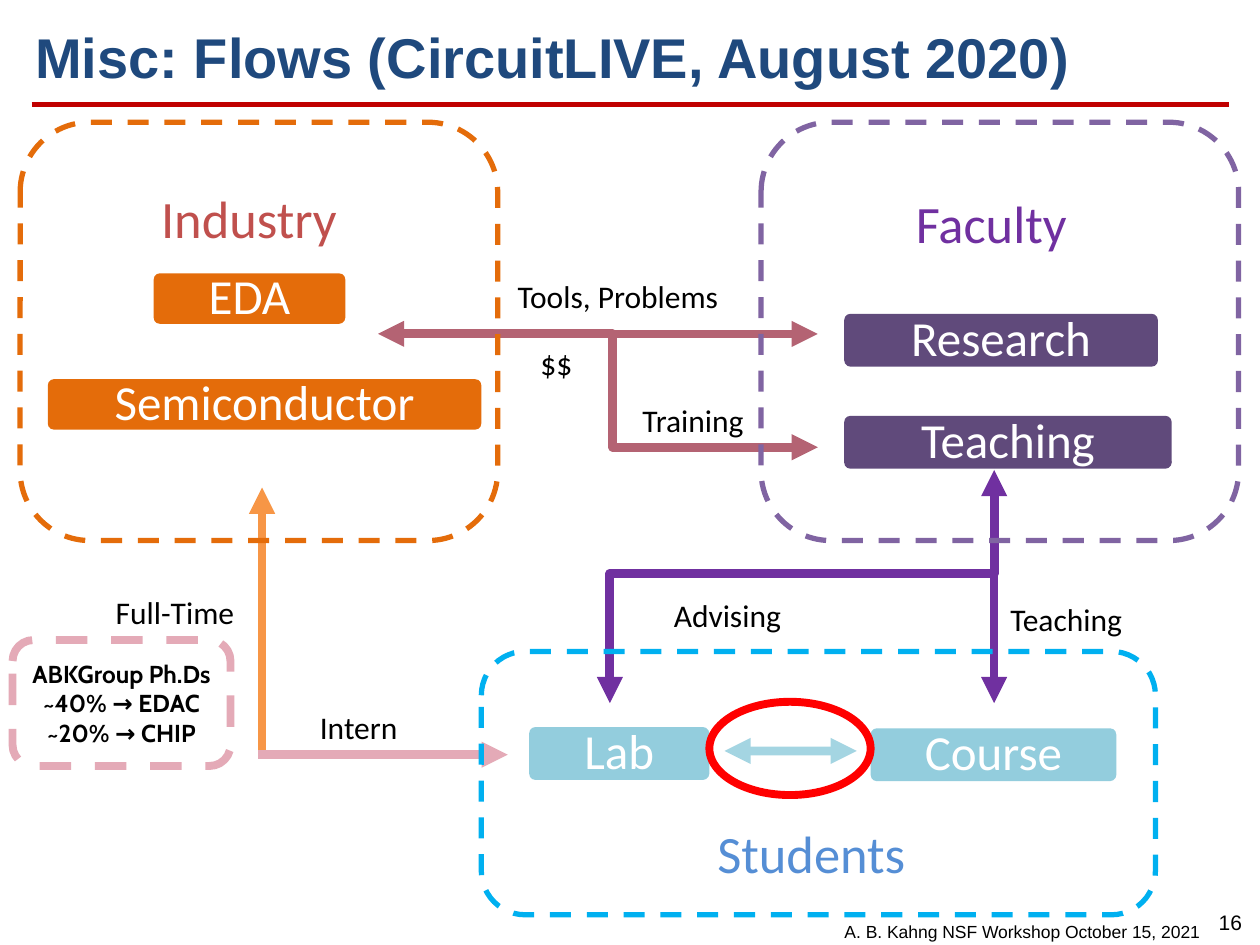
"""Build a slide showing the flows between industry, faculty and students."""
from lxml import etree
from pptx import Presentation
from pptx.dml.color import RGBColor
from pptx.enum import dml, shapes, text
from pptx.oxml import ns
from pptx.util import Inches, Pt

STRAIGHT, ELBOW = shapes.MSO_CONNECTOR.STRAIGHT, shapes.MSO_CONNECTOR.ELBOW
LEFT, CENTER, RIGHT = text.PP_ALIGN.LEFT, text.PP_ALIGN.CENTER, text.PP_ALIGN.RIGHT


def write(shape, content, font, size, color, align=LEFT, bold=False, wrap=True):
    """Put formatted text into a shape, one paragraph per line."""
    frame = shape.text_frame
    frame.text = content
    frame.word_wrap = wrap
    for paragraph in frame.paragraphs:
        paragraph.alignment = align
        paragraph.font.name = font
        paragraph.font.size = Pt(size)
        paragraph.font.bold = bold
        paragraph.font.color.rgb = RGBColor.from_string(color)


def connect(start, end, color, width=5, kind=STRAIGHT, ends=("tailEnd",)):
    """Draw a connector with triangle arrowheads at the given ends."""
    points = [Inches(value) for value in (*start, *end)]
    connector = slide.shapes.add_connector(kind, *points)
    connector.line.color.rgb = RGBColor.from_string(color)
    connector.line.width = Pt(width)
    for name in ends:
        etree.SubElement(connector.line._get_or_add_ln(), ns.qn(f"a:{name}"), type="triangle")
    etree.SubElement(connector.element.spPr, ns.qn("a:effectLst"))
    return connector


presentation = Presentation()
presentation.slide_width, presentation.slide_height = Inches(10), Inches(7.5)
slide = presentation.slides.add_slide(presentation.slide_layouts[5])
both = ("headEnd", "tailEnd")

title = slide.shapes.title
title.left, title.top, title.width, title.height = Inches(0.18), Inches(0.07), Inches(9.5), Inches(0.75)
title.text_frame.vertical_anchor = text.MSO_ANCHOR.MIDDLE
write(title, "Misc: Flows (CircuitLIVE, August 2020)", "Arial", 32, "1F497D", bold=True)
connect((0.25, 0.83), (9.75, 0.83), "C00000", 3, ends=())

footers = [
    ("16", 9.56, 7.17, 0.41, 0.3, 12, CENTER, False),
    ("A. B. Kahng NSF Workshop October 15, 2021", 5.62, 7.26, 4, 0.27, 10, RIGHT, True),
]
for content, left, top, width, height, size, align, wrap in footers:
    box = slide.shapes.add_textbox(Inches(left), Inches(top), Inches(width), Inches(height))
    write(box, content, "Arial", size, "000000", align, wrap=wrap)

blocks = [
    ("EDA", 1.22, 2.17, 1.52, 0.4, "E46C0A"),
    ("Semiconductor", 0.38, 3.01, 3.44, 0.4, "E46C0A"),
    ("Lab", 4.2, 5.77, 1.43, 0.42, "93CDDD"),
    ("Course", 6.91, 5.78, 1.95, 0.42, "93CDDD"),
    ("Research", 6.7, 2.49, 2.49, 0.42, "604A7B"),
    ("Teaching", 6.7, 3.3, 2.6, 0.42, "604A7B"),
]
for content, left, top, width, height, color in blocks:
    block = slide.shapes.add_shape(
        shapes.MSO_SHAPE.ROUNDED_RECTANGLE, Inches(left), Inches(top), Inches(width), Inches(height))
    block.adjustments[0] = 0.12
    block.shadow.inherit = False
    block.fill.solid()
    block.fill.fore_color.rgb = RGBColor.from_string(color)
    block.line.fill.background()
    write(block, content, "Calibri", 28, "FFFFFF", CENTER)
    frame = block.text_frame
    frame.vertical_anchor = text.MSO_ANCHOR.MIDDLE
    frame.margin_top = frame.margin_bottom = 0
    frame.paragraphs[0].line_spacing = 0.9

groups = [
    ("Students", 5.24, 6.47, 2.4, "558ED5", CENTER),
    ("Faculty", 7.17, 1.47, 2.4, "7030A0", LEFT),
    ("Industry", 1.18, 1.43, 1.76, "C0504D", LEFT),
]
for content, left, top, width, color, align in groups:
    box = slide.shapes.add_textbox(Inches(left), Inches(top), Inches(width), Inches(0.61))
    write(box, content, "Calibri", 30, color, align)

connect((3.25, 2.65), (6.49, 2.65), "B46373")
training = connect((3, 2.65), (6.49, 3.55), "B46373", kind=ELBOW, ends=both)
connect((7.89, 3.87), (7.89, 5.58), "7030A0")
advising = connect((5.44, 3.13), (7.29, 6.18), "7030A0", kind=ELBOW, ends=both)
advising.element.spPr.find(ns.qn("a:xfrm")).set("rot", "5400000")
for connector, bend in ((training, 53400), (advising, 44400)):
    geometry = connector.element.spPr.find(ns.qn("a:prstGeom"))
    guides = geometry.find(ns.qn("a:avLst"))
    if guides is None:
        guides = etree.SubElement(geometry, ns.qn("a:avLst"))
    etree.SubElement(guides, ns.qn("a:gd"), name="adj1", fmla=f"val {bend}")

labels = [
    ("Tools, Problems", 4.01, 2.15, 1.94),
    ("$$", 4.19, 2.68, 0.48),
    ("Training", 5, 3.13, 1.08),
    ("Advising", 5.25, 4.68, 1.13),
    ("Teaching", 7.92, 4.71, 1.18),
    ("Intern", 2.44, 5.57, 0.88),
    ("Full-Time", 0.82, 4.66, 1.21),
]
for content, left, top, width in labels:
    box = slide.shapes.add_textbox(Inches(left), Inches(top), Inches(width), Inches(0.4))
    write(box, content, "Calibri", 18, "000000", wrap=False)

connect((2.08, 5.98), (2.08, 3.87), "F79646")
connect((2.05, 5.99), (4.03, 5.99), "E4AAB7")
exchange = connect((5.75, 5.96), (6.8, 5.96), "4BACC6", ends=both)
color_element = exchange.element.spPr.find(".//" + ns.qn("a:srgbClr"))
etree.SubElement(color_element, ns.qn("a:alpha"), val="50000")

rounded, oval = shapes.MSO_SHAPE.ROUNDED_RECTANGLE, shapes.MSO_SHAPE.OVAL
outlines = [
    (rounded, 0.16, 0.97, 3.79, 3.32, "E46C0A", 3, ""),
    (rounded, 6.04, 0.97, 3.79, 3.32, "8064A2", 3, ""),
    (rounded, 3.82, 5.17, 5.35, 2.09, "00B0F0", 3, ""),
    (rounded, 0.1, 5.08, 1.73, 1, "E4AAB7", 4.5, "ABKGroup Ph.Ds\n~40% → EDAC\n~20% → CHIP"),
    (oval, 5.63, 5.57, 1.28, 0.74, "FF0000", 4.5, ""),
]
for kind, left, top, width, height, color, weight, content in outlines:
    outline = slide.shapes.add_shape(kind, Inches(left), Inches(top), Inches(width), Inches(height))
    outline.shadow.inherit = False
    outline.fill.background()
    outline.line.color.rgb = RGBColor.from_string(color)
    outline.line.width = Pt(weight)
    if kind == rounded:
        outline.line.dash_style = dml.MSO_LINE.DASH
    if content:
        write(outline, content, "Cabin", 14, "000000", CENTER, bold=True, wrap=False)
        outline.text_frame.vertical_anchor = text.MSO_ANCHOR.MIDDLE

presentation.save("out.pptx")
